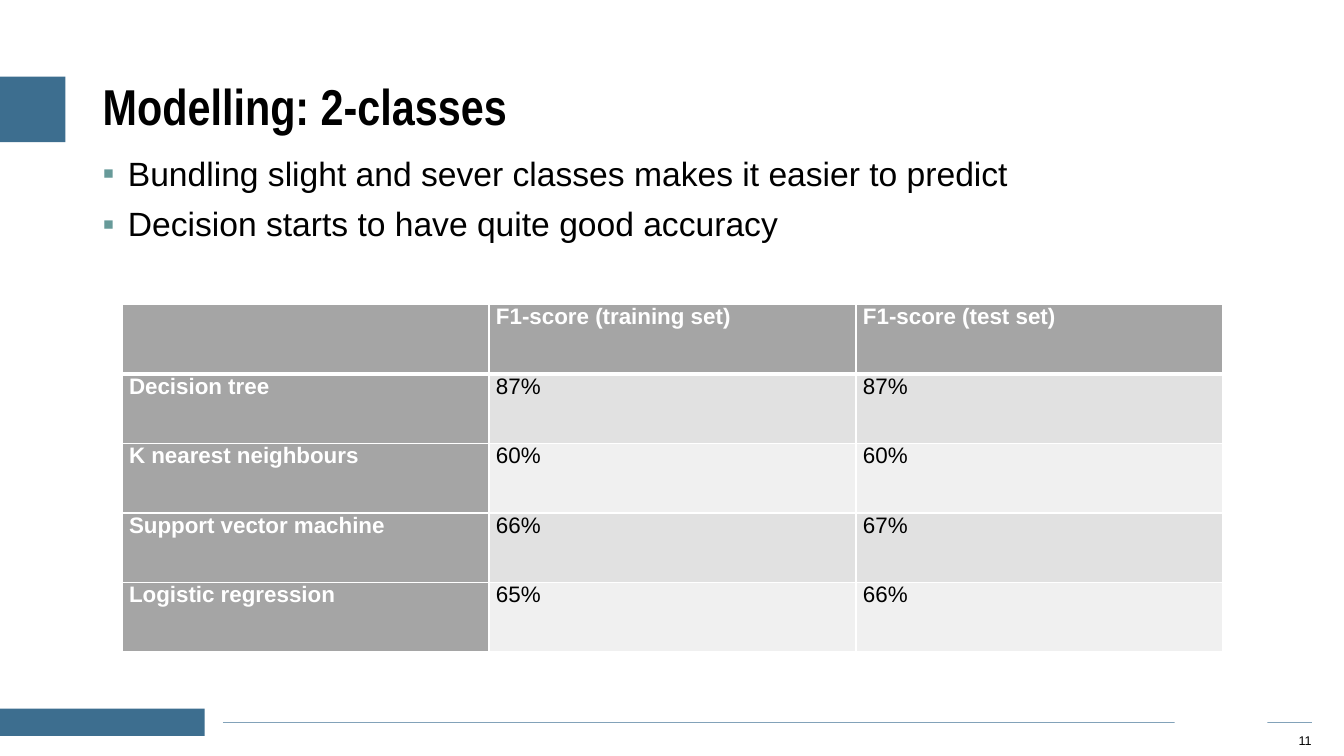
from lxml import etree
from pptx import Presentation
from pptx.dml.color import RGBColor
from pptx.enum.shapes import MSO_CONNECTOR, MSO_SHAPE
from pptx.enum.text import MSO_ANCHOR, PP_ALIGN
from pptx.oxml.ns import qn
from pptx.util import Inches, Pt

RECTANGLE = MSO_SHAPE.RECTANGLE
STRAIGHT = MSO_CONNECTOR.STRAIGHT
TOP, MIDDLE = MSO_ANCHOR.TOP, MSO_ANCHOR.MIDDLE
LEFT, RIGHT, JUSTIFY = PP_ALIGN.LEFT, PP_ALIGN.RIGHT, PP_ALIGN.JUSTIFY

# Content
TITLE = "Modelling: 2-classes"
POINTS = [
    "Bundling slight and sever classes makes it easier to predict",
    "Decision starts to have quite good accuracy",
]
SCORES = [
    ("", "F1-score (training set)", "F1-score (test set)"),
    ("Decision tree", "87%", "87%"),
    ("K nearest neighbours", "60%", "60%"),
    ("Support vector machine", "66%", "67%"),
    ("Logistic regression", "65%", "66%"),
]
PAGE_NUMBER = "11"

THEME = {
    "font": "Arial", "title_font": "Arial Narrow",
    "title_size": 36, "body_size": 24, "table_size": 16, "number_size": 9,
    "text": "000000", "white": "FFFFFF", "accent": "3D6E8F",
    "rule": "82A2B9", "bullet": "679A99",
    "header": "A5A5A5", "bands": ("E1E1E1", "F0F0F0"),
}

# Layout in inches: left, top, width, height
RULE = (2.21, 7.17, 13.01, 7.17)
RULE_GAP = (11.65, 6.95, 0.92, 0.46)
ACCENTS = [(0, 0.76, 0.65, 0.65), (0, 7.03, 2.03, 0.27)]
NUMBER_BOX = (12.62, 7.24, 0.39, 0.22)
POINTS_BOX = (0.92, 1.51, 11.5, 1.3)
TITLE_BOX = (0.92, 0.66, 11.5, 0.85)
TABLE_LEFT, TABLE_TOP, COLUMN_WIDTH, ROW_HEIGHT = 1.21, 3.02, 3.64, 0.69
BORDER, HEADER_BORDER = 1, 3

prs = Presentation()
prs.slide_width, prs.slide_height = Inches(13.33), Inches(7.5)
slide = prs.slides.add_slide(prs.slide_layouts[6])


def inches(values):
    return [Inches(value) for value in values]


def color(name):
    return RGBColor.from_string(name)


def add_block(box, fill):
    block = slide.shapes.add_shape(RECTANGLE, *inches(box))
    block.shadow.inherit = False
    block.fill.solid()
    block.fill.fore_color.rgb = color(fill)
    block.line.fill.background()
    return block


def write(paragraph, text, size, ink=THEME["text"], bold=False,
          align=LEFT, font=THEME["font"]):
    paragraph.alignment = align
    run = paragraph.add_run()
    run.text = text
    run.font.name, run.font.size, run.font.bold = font, Pt(size), bold
    run.font.color.rgb = color(ink)


def add_frame(box, anchor):
    frame = slide.shapes.add_textbox(*inches(box)).text_frame
    frame.word_wrap = True
    frame.vertical_anchor = anchor
    return frame


def add_bullet(paragraph):
    props = paragraph._p.get_or_add_pPr()
    props.set("marL", str(Inches(0.25)))
    props.set("indent", str(-Inches(0.25)))
    tint = etree.SubElement(props, qn("a:buClr"))
    etree.SubElement(tint, qn("a:srgbClr"), val=THEME["bullet"])
    etree.SubElement(props, qn("a:buFont"), typeface=THEME["font"])
    etree.SubElement(props, qn("a:buChar"), char="▪")


def add_borders(cell, row):
    props = cell._tc.get_or_add_tcPr()
    widths = {
        "L": BORDER, "R": BORDER,
        "T": HEADER_BORDER if row == 1 else BORDER,
        "B": HEADER_BORDER if row == 0 else BORDER,
    }
    for position, (side, width) in enumerate(widths.items()):
        edge = etree.Element(qn(f"a:ln{side}"), w=str(Pt(width)))
        paint = etree.SubElement(edge, qn("a:solidFill"))
        etree.SubElement(paint, qn("a:srgbClr"), val=THEME["white"])
        props.insert(position, edge)


# Footer rule with its gap, and accent blocks
rule = slide.shapes.add_connector(STRAIGHT, *inches(RULE))
rule.line.color.rgb = color(THEME["rule"])
rule.line.width = Pt(0.75)
etree.SubElement(rule._element.spPr, qn("a:effectLst"))
add_block(RULE_GAP, THEME["white"])
for accent_box in ACCENTS:
    add_block(accent_box, THEME["accent"])

# Page number
number = add_block(NUMBER_BOX, THEME["white"]).text_frame
number.margin_left = number.margin_right = 0
number.margin_top = number.margin_bottom = 0
number.word_wrap = False
number.vertical_anchor = MIDDLE
write(number.paragraphs[0], PAGE_NUMBER, THEME["number_size"], align=RIGHT)

# Bullet points
points = add_frame(POINTS_BOX, TOP)
for index, point in enumerate(POINTS):
    paragraph = points.add_paragraph() if index else points.paragraphs[0]
    paragraph.line_spacing = 0.9
    paragraph.space_before = Pt(10)
    add_bullet(paragraph)
    write(paragraph, point, THEME["body_size"])

# Title
heading = add_frame(TITLE_BOX, MIDDLE).paragraphs[0]
heading.line_spacing = 0.9
write(heading, TITLE, THEME["title_size"], bold=True, font=THEME["title_font"])

# Score table
row_count, column_count = len(SCORES), len(SCORES[0])
scores = slide.shapes.add_table(
    row_count, column_count,
    *inches((TABLE_LEFT, TABLE_TOP,
             COLUMN_WIDTH * column_count, ROW_HEIGHT * row_count))).table
for column in scores.columns:
    column.width = Inches(COLUMN_WIDTH)
for r, values in enumerate(SCORES):
    scores.rows[r].height = Inches(ROW_HEIGHT)
    for c, value in enumerate(values):
        cell = scores.cell(r, c)
        is_header = r == 0 or c == 0
        cell.margin_left = cell.margin_right = Inches(0.07)
        cell.margin_top = cell.margin_bottom = 0
        cell.fill.solid()
        cell.fill.fore_color.rgb = color(
            THEME["header"] if is_header else THEME["bands"][(r - 1) % 2])
        add_borders(cell, r)
        if value:
            write(cell.text_frame.paragraphs[0], value, THEME["table_size"],
                  THEME["white"] if is_header else THEME["text"],
                  is_header, JUSTIFY)

prs.save("out.pptx")
